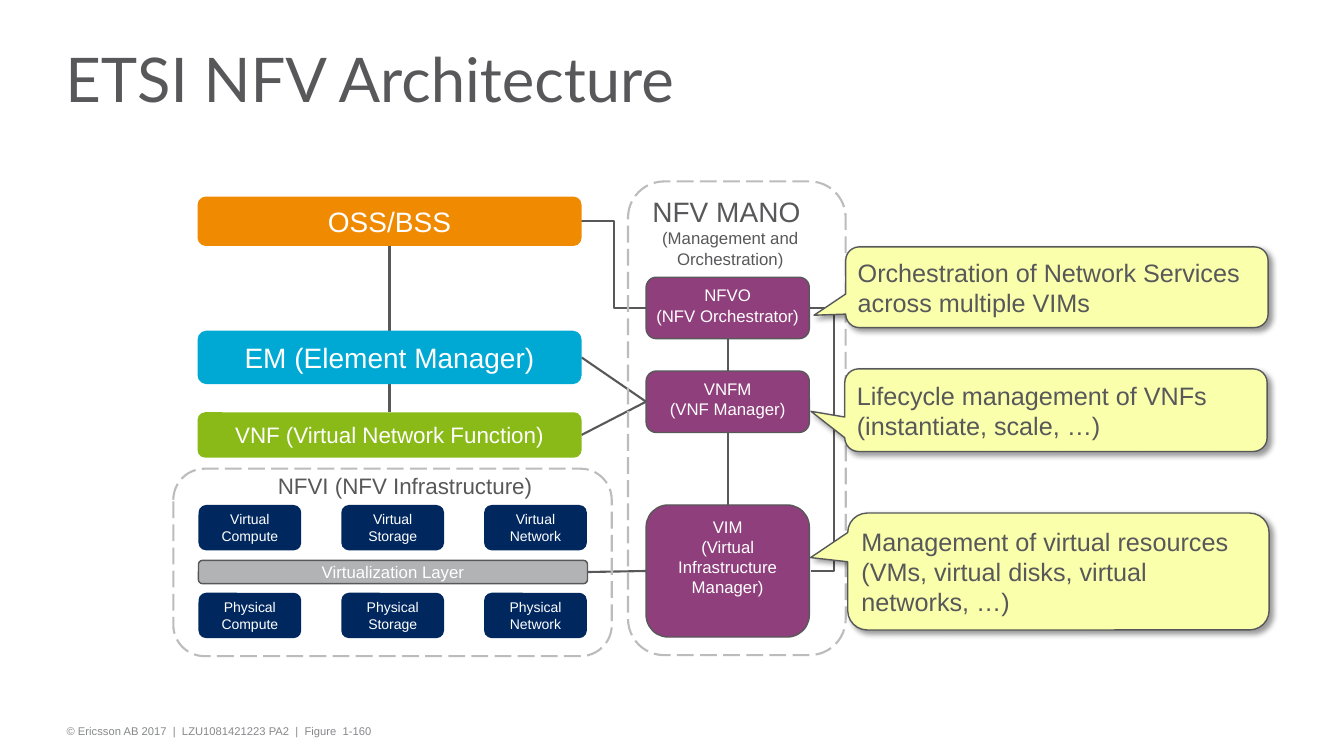
"""Build the ETSI NFV architecture slide."""
from lxml.etree import SubElement
from pptx import Presentation
from pptx.dml.color import RGBColor
from pptx.enum.dml import MSO_LINE
from pptx.enum.shapes import MSO_CONNECTOR, MSO_SHAPE
from pptx.enum.text import MSO_ANCHOR, MSO_AUTO_SIZE, PP_ALIGN
from pptx.oxml.ns import qn
from pptx.util import Pt

GREY = RGBColor(0x58, 0x58, 0x5A)
MUTED = RGBColor(0x87, 0x88, 0x8A)
DASH = RGBColor(0xBC, 0xBC, 0xBD)
SILVER = RGBColor(0xB1, 0xB3, 0xB4)
WHITE = RGBColor(0xFF, 0xFF, 0xFF)
ORANGE = RGBColor(0xF0, 0x8A, 0x00)
BLUE = RGBColor(0x00, 0xA9, 0xD4)
GREEN = RGBColor(0x89, 0xBA, 0x17)
NAVY = RGBColor(0x00, 0x28, 0x5F)
PURPLE = RGBColor(0x8F, 0x3F, 0x7B)
YELLOW = RGBColor(0xF9, 0xFF, 0xAB)

TITLE = "ETSI NFV Architecture"
FOOTER = "© Ericsson AB 2017  |  LZU1081421223 PA2  |  Figure  1-160"
BARS = [
    ("OSS/BSS", 140.4, 35.3, 20, ORANGE),
    ("EM (Element Manager)", 236.2, 38.2, 20, BLUE),
    ("VNF (Virtual Network Function)", 294.5, 32.4, 16, GREEN),
]
KINDS = [("Virtual", 360.7), ("Physical", 423.4)]
PARTS = ["Compute", "Storage", "Network"]
LAYER = "Virtualization Layer"
INFRA = "NFVI (NFV Infrastructure)"
MANO = [("NFV MANO ", 20), ("(Management and Orchestration)", 12)]
ROLES = [
    (["NFVO", "(NFV Orchestrator)"], 198, 43.9),
    (["VNFM", "(VNF Manager)"], 265, 43.9),
    (["VIM", "(Virtual", "Infrastructure", "Manager)"], 360.7, 94.3),
]
NOTES = [
    (["Orchestration of Network Services", "across multiple VIMs"],
     (604.1, 176.4, 301.7, 57.6), (-0.575, 0.347)),
    (["Lifecycle management of VNFs", "(instantiate, scale, …)"],
     (603.4, 263.5, 301.7, 59), (-0.58, 0.014)),
    (["Management of virtual resources",
      "(VMs, virtual disks, virtual networks, …)"],
     (605.5, 366.5, 301, 83.5), (-0.588, -0.119)),
]
FRAMES = [(123.8, 334.8, 313.2, 133.9), (448.6, 129.6, 155.5, 338.4)]
BAR_X, BAR_W = 141.1, 274.3
ROLE_X, ROLE_W = 461.5, 116.6
CELL_X, CELL_W, CELL_H, PITCH = 141.8, 73.4, 32.4, 102
LAYER_Y, LAYER_W, LAYER_H = 400.3, 277.9, 16.6


def style(run, size, color, font="Arial"):
    """Set the look of one run."""
    run.font.size = Pt(size)
    run.font.name = font
    run.font.color.rgb = color


def write(frame, lines, color, align=PP_ALIGN.CENTER, wrap=True,
          anchor=MSO_ANCHOR.TOP, pad=(5.76, 3.6)):
    """Write (text, size) lines as paragraphs."""
    frame.word_wrap = wrap
    frame.vertical_anchor = anchor
    frame.margin_left = frame.margin_right = Pt(pad[0])
    frame.margin_top = frame.margin_bottom = Pt(pad[1])
    for i, (text, size) in enumerate(lines):
        para = frame.add_paragraph() if i else frame.paragraphs[0]
        para.alignment = align
        run = para.add_run()
        run.text = text
        style(run, size, color)


def shape(slide, area, fill=None, line=None, width=1,
          kind=MSO_SHAPE.ROUNDED_RECTANGLE):
    """Add a flat shape."""
    item = slide.shapes.add_shape(kind, *map(Pt, area))
    item.shadow.inherit = False
    if fill is None:
        item.fill.background()
    else:
        item.fill.solid()
        item.fill.fore_color.rgb = fill
    if line is None:
        item.line.fill.background()
    else:
        item.line.color.rgb = line
        item.line.width = Pt(width)
    return item


def box(slide, area, lines, size, fill, line=None, anchor=MSO_ANCHOR.MIDDLE):
    """Add a filled box with white text."""
    item = shape(slide, area, fill, line)
    write(item.text_frame, [(text, size) for text in lines], WHITE,
          wrap=False, anchor=anchor)


def label(slide, area, lines, color, **opts):
    """Add a text box."""
    item = slide.shapes.add_textbox(*map(Pt, area))
    write(item.text_frame, lines, color, **opts)


def wire(slide, start, end, kind=MSO_CONNECTOR.STRAIGHT, bend=None):
    """Join two points."""
    item = slide.shapes.add_connector(kind, *map(Pt, start + end))
    item.line.color.rgb = GREY
    item.line.width = Pt(1.5)
    props = item._element.spPr
    SubElement(props, qn("a:effectLst"))
    if bend is not None:
        guides = props.find(qn("a:prstGeom")).get_or_add_avLst()
        SubElement(guides, qn("a:gd"), name="adj1",
                   fmla=f"val {round(bend * 100000)}")


def wires(slide):
    """Draw all links between the boxes."""
    right, mid = BAR_X + BAR_W, BAR_X + BAR_W / 2
    far, axis = ROLE_X + ROLE_W, ROLE_X + ROLE_W / 2
    oss, em, vnf = [y + h / 2 for _, y, h, _, _ in BARS]
    nfvo, vnfm, vim = [y + h / 2 for _, y, h in ROLES]
    for items, x in ((BARS, mid), (ROLES, axis)):
        for upper, lower in zip(items, items[1:]):
            wire(slide, (x, upper[1] + upper[2]), (x, lower[1]))
    for y in (em, vnf):
        wire(slide, (right, y), (ROLE_X, vnfm))
    wire(slide, (CELL_X + LAYER_W, LAYER_Y + LAYER_H / 2), (ROLE_X, vim))
    elbow = MSO_CONNECTOR.ELBOW
    wire(slide, (right, oss), (ROLE_X, nfvo), elbow, 0.5)
    wire(slide, (far, nfvo), (far + 1, vim), elbow, 18)


def note(slide, lines, area, tip):
    """Add a callout with a soft shadow."""
    item = shape(slide, area, YELLOW, GREY,
                 kind=MSO_SHAPE.ROUNDED_RECTANGULAR_CALLOUT)
    item.adjustments[0], item.adjustments[1] = tip
    glow = SubElement(item._element.spPr.find(qn("a:effectLst")),
                      qn("a:outerShdw"), blurRad=str(Pt(4)), dist=str(Pt(3)),
                      dir="2700000", algn="tl", rotWithShape="0")
    black = SubElement(glow, qn("a:srgbClr"), val="000000")
    SubElement(black, qn("a:alpha"), val="40000")
    frame = item.text_frame
    write(frame, [(lines[0], 18)], GREY, PP_ALIGN.LEFT,
          anchor=MSO_ANCHOR.MIDDLE)
    para = frame.paragraphs[0]
    for text in lines[1:]:
        para.add_line_break()
        run = para.add_run()
        run.text = text
        style(run, 18, GREY)


def head(slide):
    """Fill and place the title."""
    title = slide.shapes.title
    title.left, title.top, title.width, title.height = map(
        Pt, (41, 18.7, 787, 85.7))
    frame = title.text_frame
    write(frame, [(TITLE, 44)], GREY, PP_ALIGN.LEFT,
          anchor=MSO_ANCHOR.MIDDLE, pad=(5.76, 0))
    frame.auto_size = MSO_AUTO_SIZE.NONE
    para = frame.paragraphs[0]
    para.line_spacing = 0.75
    style(para.runs[0], 44, GREY, "Lato")


def main():
    """Build and save the slide."""
    deck = Presentation()
    deck.slide_width, deck.slide_height = Pt(960), Pt(540)
    slide = deck.slides.add_slide(deck.slide_layouts[5])
    head(slide)
    label(slide, (41.8, 514, 777, 17.3), [(FOOTER, 8)], MUTED,
          align=PP_ALIGN.LEFT)
    wires(slide)
    for text, y, high, size, fill in BARS:
        box(slide, (BAR_X, y, BAR_W, high), [text], size, fill)
    for kind, y in KINDS:
        for i, part in enumerate(PARTS):
            box(slide, (CELL_X + i * PITCH, y, CELL_W, CELL_H),
                [kind, part], 10, NAVY)
    box(slide, (CELL_X, LAYER_Y, LAYER_W, LAYER_H), [LAYER], 12, SILVER, GREY)
    for area in FRAMES:
        shape(slide, area, line=DASH, width=1.5).line.dash_style = (
            MSO_LINE.LONG_DASH)
    label(slide, (190, 333.4, 198.7, 26.6), [(INFRA, 16)], GREY, wrap=False)
    for lines, y, high in ROLES:
        box(slide, (ROLE_X, y, ROLE_W, high), lines, 12, PURPLE, GREY,
            MSO_ANCHOR.TOP)
    label(slide, (449.3, 135.4, 144.7, 60.5), MANO, GREY, pad=(7.2, 3.6))
    for lines, area, tip in NOTES:
        note(slide, lines, area, tip)
    deck.save("out.pptx")


if __name__ == "__main__":
    main()
